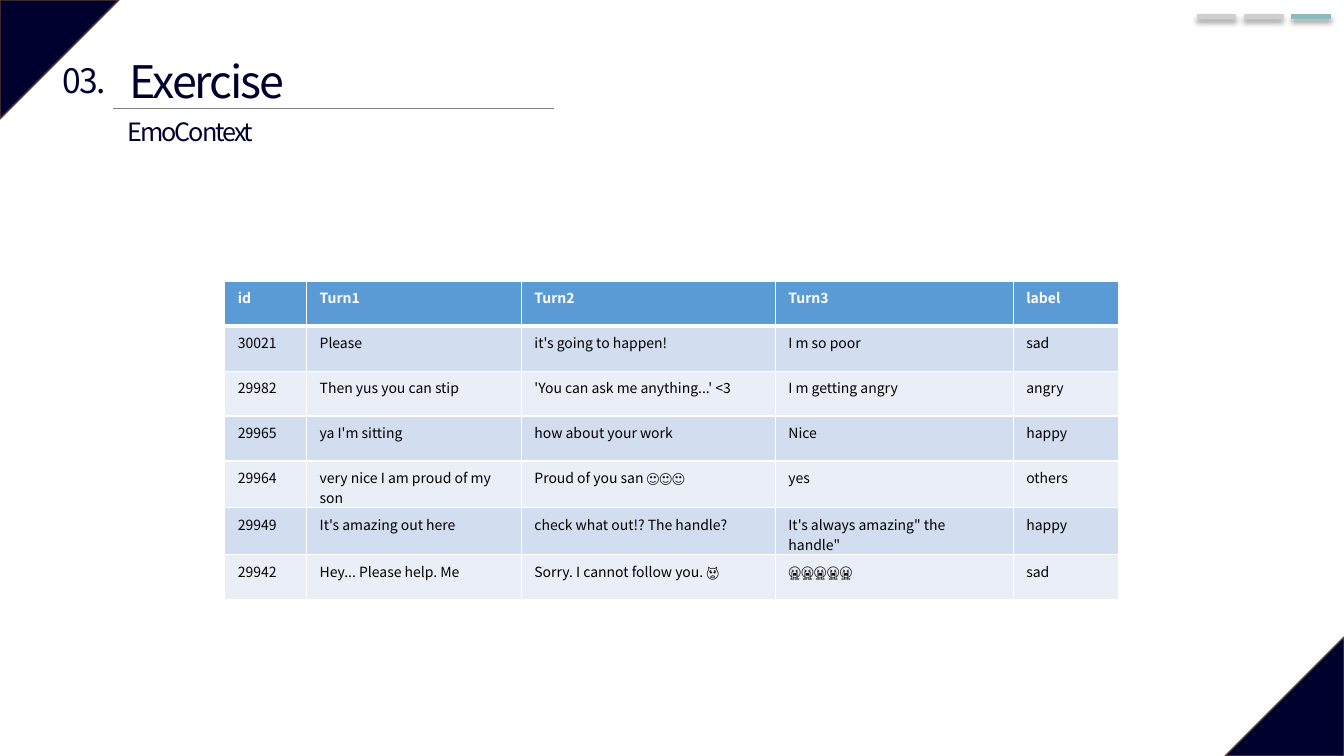
from typing import NamedTuple

from lxml.etree import SubElement
from pptx import Presentation
from pptx.dml.color import RGBColor
from pptx.enum.shapes import MSO_CONNECTOR, MSO_SHAPE
from pptx.enum.text import MSO_AUTO_SIZE, PP_ALIGN
from pptx.oxml.ns import qn
from pptx.util import Inches, Pt

FONT = "Noto Sans CJK KR"
NAVY, WHITE, BLACK, GREY, TEAL = "00002F", "FFFFFF", "000000", "D0CECE", "8DBABD"
HEADER_FILL, BAND_FILLS = "5B9BD5", ("D2DEEF", "EAEFF7")
CORNER = 8.85
COLUMNS = (6.08, 15.98, 18.9, 17.7, 7.88)
ROWS = (
    ("id", "Turn1", "Turn2", "Turn3", "label"),
    ("30021", "Please", "it's going to happen!", "I m so poor", "sad"),
    ("29982", "Then yus you can stip", "'You can ask me anything...' <3", "I m getting angry", "angry"),
    ("29965", "ya I'm sitting", "how about your work", "Nice", "happy"),
    ("29964", "very nice I am proud of my son", "Proud of you san 🙂🙂🙂", "yes", "others"),
    ("29949", "It's amazing out here", "check what out!? The handle?", "It's always amazing\" the handle\"", "happy"),
    ("29942", "Hey... Please help. Me", "Sorry. I cannot follow you. 🙀", "😭" * 5, "sad"),
)


class Heading(NamedTuple):
    text: str
    left: float
    top: float
    width: float
    height: float
    size: int
    align: PP_ALIGN = PP_ALIGN.LEFT
    wrap: bool = True


class Rule(NamedTuple):
    left: float
    right: float
    top: float
    color: str
    weight: float
    shadow: bool = False


HEADINGS = (
    Heading("Exercise", 8.93, 6.4, 37.73, 8.53, 32),
    Heading("03.", 3.75, 7.33, 5.03, 6.67, 24, PP_ALIGN.CENTER, False),
    Heading("EmoContext", 8.78, 14.67, 64.88, 5.33, 18),
)
RULES = [Rule(8.4, 41.25, 14.4, "808080", 0.5)] + [
    Rule(89.03 + 3.53 * i, 91.99 + 3.53 * i, 2.13, color, 3.5, True)
    for i, color in enumerate((GREY, GREY, TEAL))
]

prs = Presentation()
prs.slide_width, prs.slide_height = Inches(13.333), Inches(7.5)
s = prs.slides.add_slide(prs.slide_layouts[6])


def x(percent: float) -> int:
    """Return a share of the slide's width."""
    return round(prs.slide_width * percent / 100)


def y(percent: float) -> int:
    """Return a share of the slide's height."""
    return round(prs.slide_height * percent / 100)


def rgb(color: str) -> RGBColor:
    """Turn a hex string into a colour."""
    return RGBColor.from_string(color)


def add_corner(left: int, top: int, rotation: int) -> None:
    """Fill one slide corner with a right triangle."""
    sp = s.shapes.add_shape(MSO_SHAPE.ISOSCELES_TRIANGLE, left, top, x(CORNER), x(CORNER))
    sp.adjustments[0] = 0
    sp.rotation = rotation
    sp.shadow.inherit = False
    sp.fill.solid()
    sp.fill.fore_color.rgb = rgb(NAVY)
    sp.line.color.rgb = rgb("5B3F33")
    sp.line.width = Pt(1)


def add_rule(rule: Rule) -> None:
    """Draw a horizontal line, with a soft shadow below if asked."""
    cx = s.shapes.add_connector(
        MSO_CONNECTOR.STRAIGHT, x(rule.left), y(rule.top), x(rule.right), y(rule.top)
    )
    cx.line.color.rgb = rgb(rule.color)
    cx.line.width = Pt(rule.weight)
    effects = SubElement(cx._element.spPr, qn("a:effectLst"))
    if rule.shadow:
        outer = SubElement(
            effects, qn("a:outerShdw"), blurRad=str(Pt(4)), dist=str(Pt(3)),
            dir="5400000", algn="t", rotWithShape="0",
        )
        color = SubElement(outer, qn("a:srgbClr"), val=BLACK)
        SubElement(color, qn("a:alpha"), val="40000")


def add_heading(heading: Heading) -> None:
    """Write one tightly spaced heading."""
    sp = s.shapes.add_textbox(
        x(heading.left), y(heading.top), x(heading.width), y(heading.height)
    )
    tf = sp.text_frame
    tf.word_wrap = heading.wrap
    tf.auto_size = MSO_AUTO_SIZE.SHAPE_TO_FIT_TEXT
    p = tf.paragraphs[0]
    p.alignment = heading.align
    p.font.name, p.font.size = FONT, Pt(heading.size)
    p.font.color.rgb = rgb(NAVY)
    r = p.add_run()
    r.text = heading.text
    r._r.get_or_add_rPr().set("spc", "-150")


def add_table() -> None:
    """Build the banded conversation table."""
    table = s.shapes.add_table(
        len(ROWS), len(COLUMNS), x(16.73), y(37.2), x(sum(COLUMNS)), y(41.6)
    ).table
    for column, width in zip(table.columns, COLUMNS):
        column.width = x(width)
    for i, texts in enumerate(ROWS):
        for j, text in enumerate(texts):
            cell = table.cell(i, j)
            cell.text = text
            cell.margin_left = cell.margin_right = x(0.98)
            cell.margin_top = cell.margin_bottom = y(0.87)
            tcPr = cell._tc.get_or_add_tcPr()
            for side in "LRTB":
                thick = (i, side) in ((0, "B"), (1, "T"))
                ln = SubElement(tcPr, qn(f"a:ln{side}"), w=str(Pt(3 if thick else 1)))
                SubElement(SubElement(ln, qn("a:solidFill")), qn("a:srgbClr"), val=WHITE)
            cell.fill.solid()
            cell.fill.fore_color.rgb = rgb(BAND_FILLS[(i - 1) % 2] if i else HEADER_FILL)
            font = cell.text_frame.paragraphs[0].font
            font.name, font.size, font.bold = FONT, Pt(10), i == 0
            font.color.rgb = rgb(BLACK if i else WHITE)


add_corner(0, 0, 90)
add_corner(x(100 - CORNER), y(100) - x(CORNER), 270)
for rule in RULES:
    add_rule(rule)
for heading in HEADINGS:
    add_heading(heading)
add_table()
prs.save("out.pptx")
